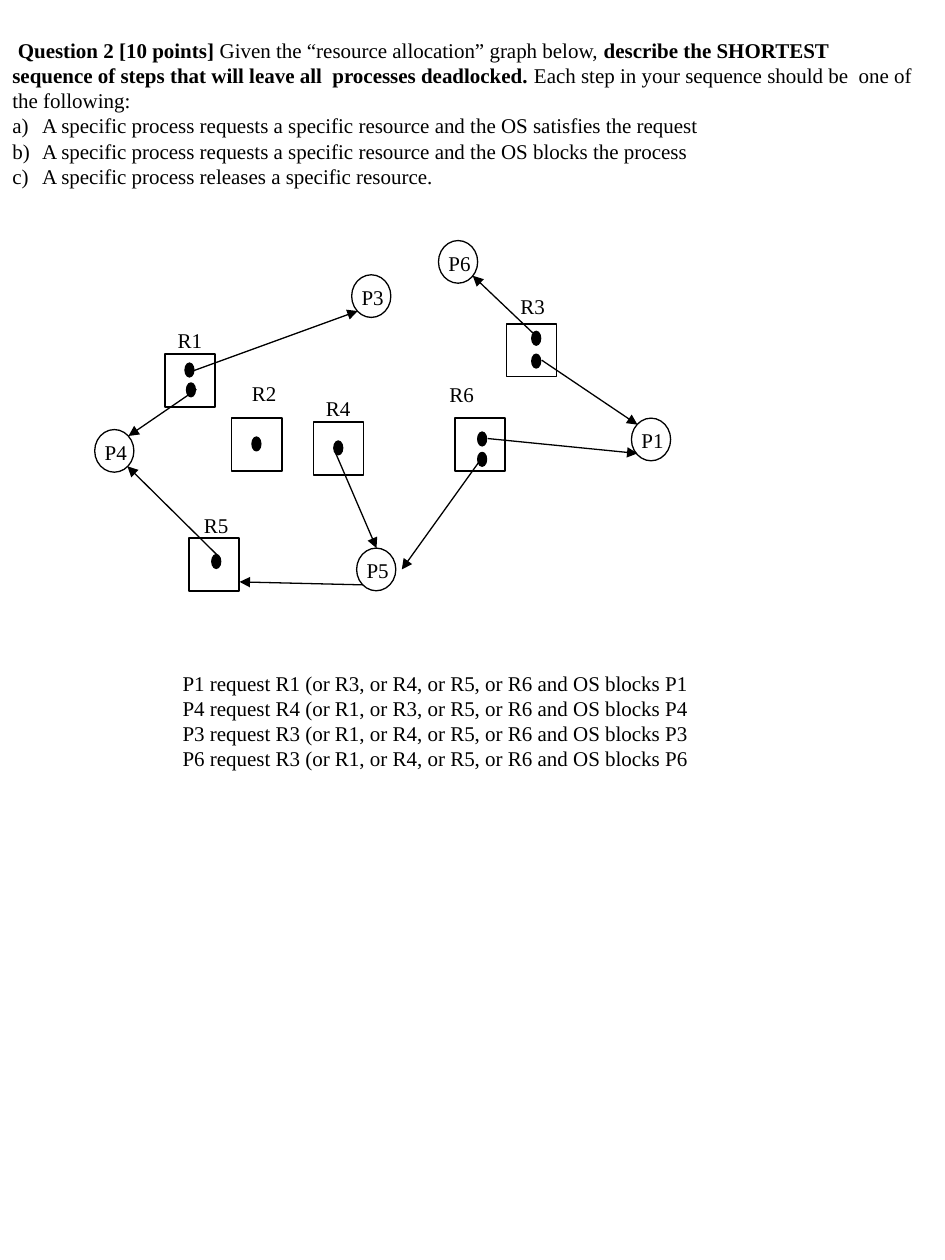
from lxml.etree import SubElement
from pptx import Presentation
from pptx.dml.color import RGBColor
from pptx.enum.shapes import MSO_CONNECTOR, MSO_SHAPE
from pptx.enum.text import MSO_AUTO_SIZE
from pptx.oxml.ns import qn
from pptx.util import Cm, Pt

BLACK = RGBColor(0, 0, 0)
FONT = "Times New Roman"

QUESTION = [
    ("Question 2 [10 points] ", True),
    ("Given the “resource allocation” graph below, ", False),
    ("describe the SHORTEST sequence of steps that will leave all  processes deadlocked.", True),
    (" Each step in your sequence should be  one of the following:", False),
]
STEP_KINDS = [
    "A specific process requests a specific resource and the OS satisfies the request",
    "A specific process requests a specific resource and the OS blocks the process",
    "A specific process releases a specific resource.",
]
ANSWERS = [
    ("P1", "R1", "R3, or R4, or R5, or R6"),
    ("P4", "R4", "R1, or R3, or R5, or R6"),
    ("P3", "R3", "R1, or R4, or R5, or R6"),
    ("P6", "R3", "R1, or R4, or R5, or R6"),
]

PROCESSES = {
    "P4": (1.91, 8.66),
    "P5": (7.19, 11.05),
    "P1": (12.73, 8.43),
    "P3": (7.09, 5.54),
    "P6": (8.84, 4.85),
}
RESOURCES = [
    ("R1", (3.33, 7.14), (3.33, 6.48), [(3.73, 7.32), (3.76, 7.72)]),
    ("R2", (4.67, 8.43), (4.83, 7.54), [(5.08, 8.81)]),
    ("R3", (10.21, 6.53), (10.24, 5.79), [(10.72, 6.68), (10.72, 7.14)]),
    ("R4", (6.32, 8.51), (6.32, 7.85), [(6.73, 8.89)]),
    ("R5", (3.81, 10.85), (3.86, 10.21), [(4.27, 11.18)]),
    ("R6", (9.17, 8.43), (8.81, 7.57), [(9.63, 8.71), (9.63, 9.12)]),
]
ARROWS = [
    ((3.91, 7.47), (7.21, 6.27)),
    ((3.96, 7.85), (2.59, 8.79)),
    ((10.74, 6.71), (9.53, 5.56)),
    ((10.92, 7.26), (12.85, 8.56)),
    ((6.76, 9.12), (7.59, 11.05)),
    ((4.42, 11.23), (2.57, 9.4)),
    ((9.83, 8.84), (12.85, 9.14)),
    ((9.65, 9.32), (8.1, 11.48)),
    ((7.32, 11.79), (4.83, 11.73)),
]
CIRCLE_SIZE = (0.79, 0.86)
SQUARE_SIZE = (1.01, 1.06)
DOT_SIZE = (0.18, 0.28)
LABEL_SIZE = (0.95, 0.76)


def add_text(slide, position, size, paragraphs, wrap=True):
    box = slide.shapes.add_textbox(*map(Cm, position + size))
    frame = box.text_frame
    frame.word_wrap = wrap
    frame.auto_size = MSO_AUTO_SIZE.NONE
    for index, runs in enumerate(paragraphs):
        paragraph = frame.paragraphs[0] if index == 0 else frame.add_paragraph()
        for text, bold in runs:
            run = paragraph.add_run()
            run.text = text
            run.font.name = FONT
            run.font.size = Pt(12)
            run.font.bold = bold
            run.font.color.rgb = BLACK
    return frame.paragraphs


def add_outline(slide, kind, position, size, width=0.75, filled=False):
    shape = slide.shapes.add_shape(kind, *map(Cm, position + size))
    shape.shadow.inherit = False
    if filled:
        shape.fill.solid()
        shape.fill.fore_color.rgb = BLACK
    else:
        shape.fill.background()
    shape.line.color.rgb = BLACK
    shape.line.width = Pt(width)


def add_arrow(slide, start, end):
    arrow = slide.shapes.add_connector(MSO_CONNECTOR.STRAIGHT, *map(Cm, start + end))
    arrow.line.color.rgb = BLACK
    arrow.line.width = Pt(0.75)
    SubElement(arrow.line._get_or_add_ln(), qn("a:tailEnd"), type="triangle")
    SubElement(arrow._element.spPr, qn("a:effectLst"))


def set_indent(paragraph, margin, indent):
    properties = paragraph._p.get_or_add_pPr()
    properties.set("marL", str(Cm(margin)))
    properties.set("indent", str(Cm(indent)))
    return properties


def add_label(slide, name, position):
    add_text(slide, position, LABEL_SIZE, [[(name, False)]], wrap=False)


def main():
    presentation = Presentation()
    presentation.slide_width = Cm(19.05)
    presentation.slide_height = Cm(25.4)
    slide = presentation.slides.add_slide(presentation.slide_layouts[6])

    steps = [[(text, False)] for text in STEP_KINDS]
    question, *items = add_text(slide, (0, 0.63), (18.67, 3.3), [QUESTION] + steps)
    set_indent(question, 0, 0.11)
    for item in items:
        properties = set_indent(item, 0.6, -0.6)
        SubElement(properties, qn("a:buFont"), typeface=FONT)
        SubElement(properties, qn("a:buAutoNum"), type="alphaLcParenR")

    for name, (left, top) in PROCESSES.items():
        add_label(slide, name, (left - 0.05, top + 0.07))
        add_outline(slide, MSO_SHAPE.OVAL, (left, top), CIRCLE_SIZE)
    for name, square, label, dots in RESOURCES:
        add_outline(slide, MSO_SHAPE.RECTANGLE, square, SQUARE_SIZE, width=1)
        add_label(slide, name, label)
        for dot in dots:
            add_outline(slide, MSO_SHAPE.OVAL, dot, DOT_SIZE, filled=True)
    for start, end in ARROWS:
        add_arrow(slide, start, end)

    answers = [
        [(f"{process} request {resource} (or {others} and OS blocks {process}", False)]
        for process, resource, others in ANSWERS
    ]
    add_text(slide, (3.43, 13.39), (10.9, 3.3), answers)
    presentation.save("out.pptx")


if __name__ == "__main__":
    main()
